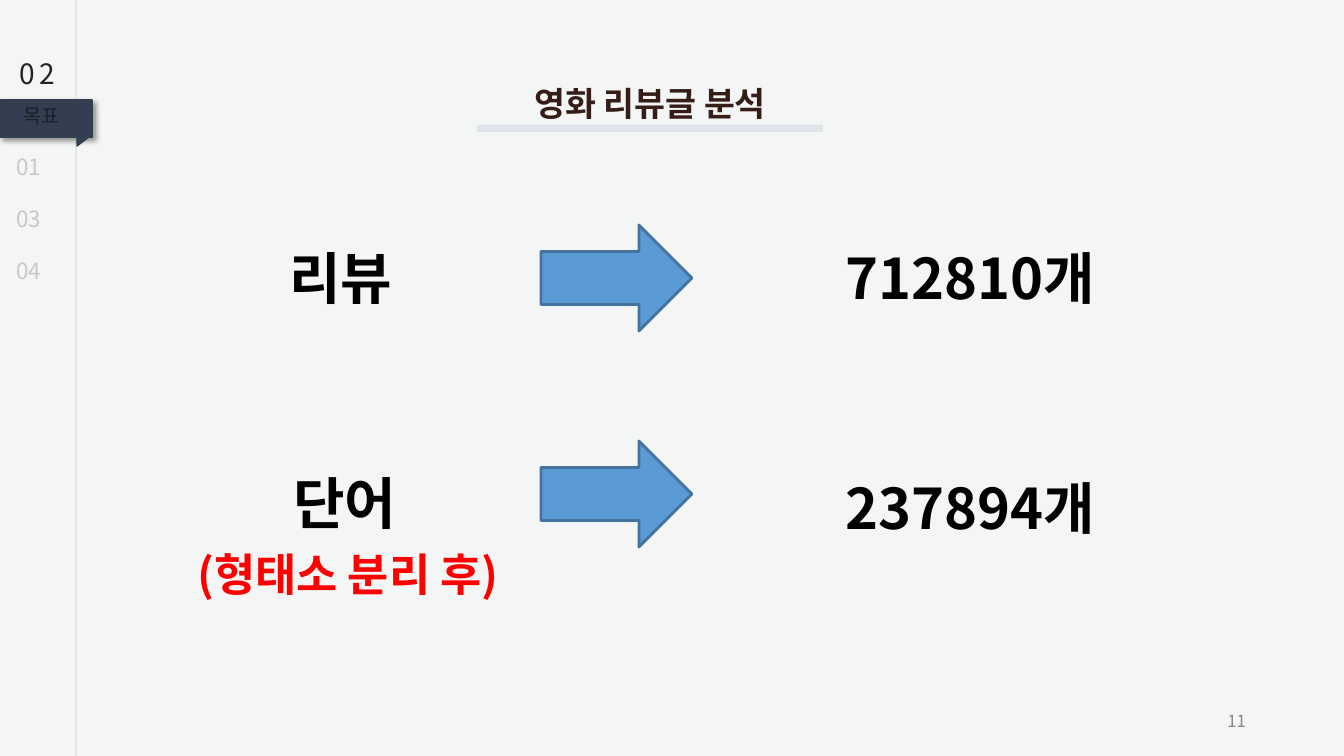
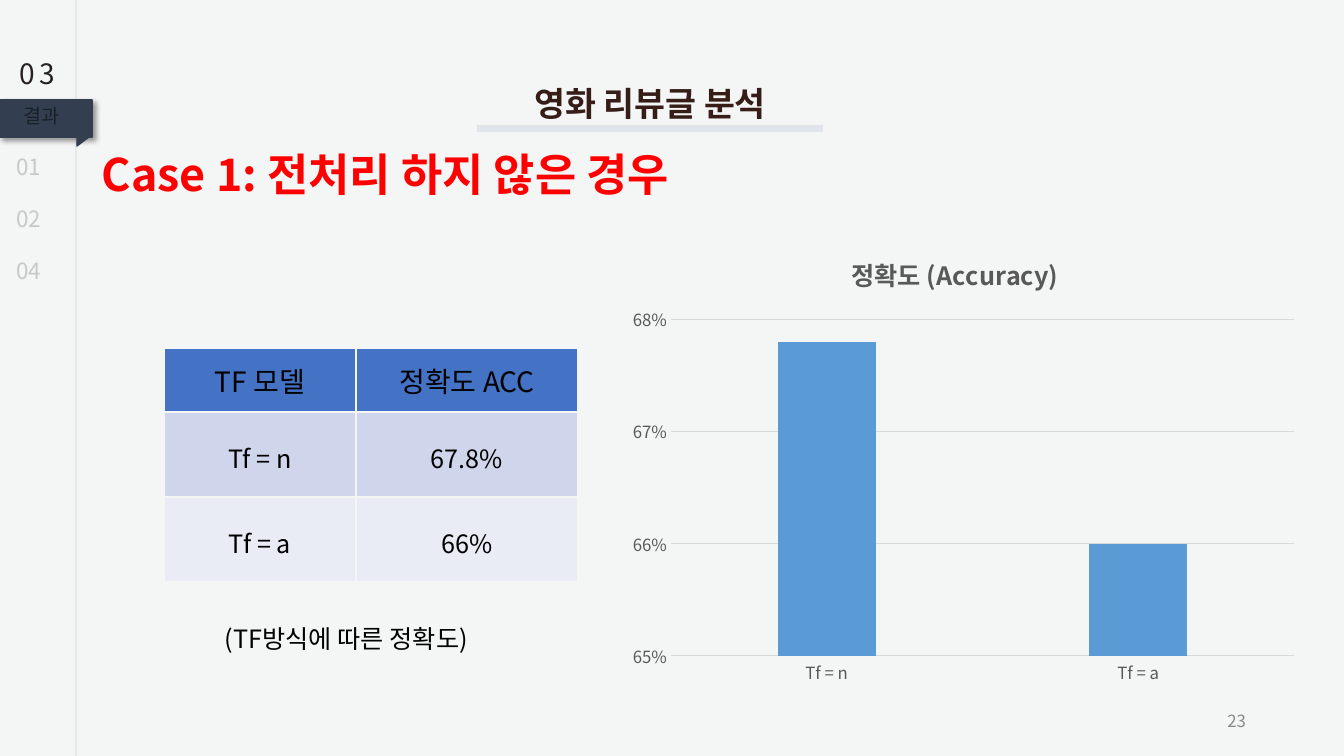
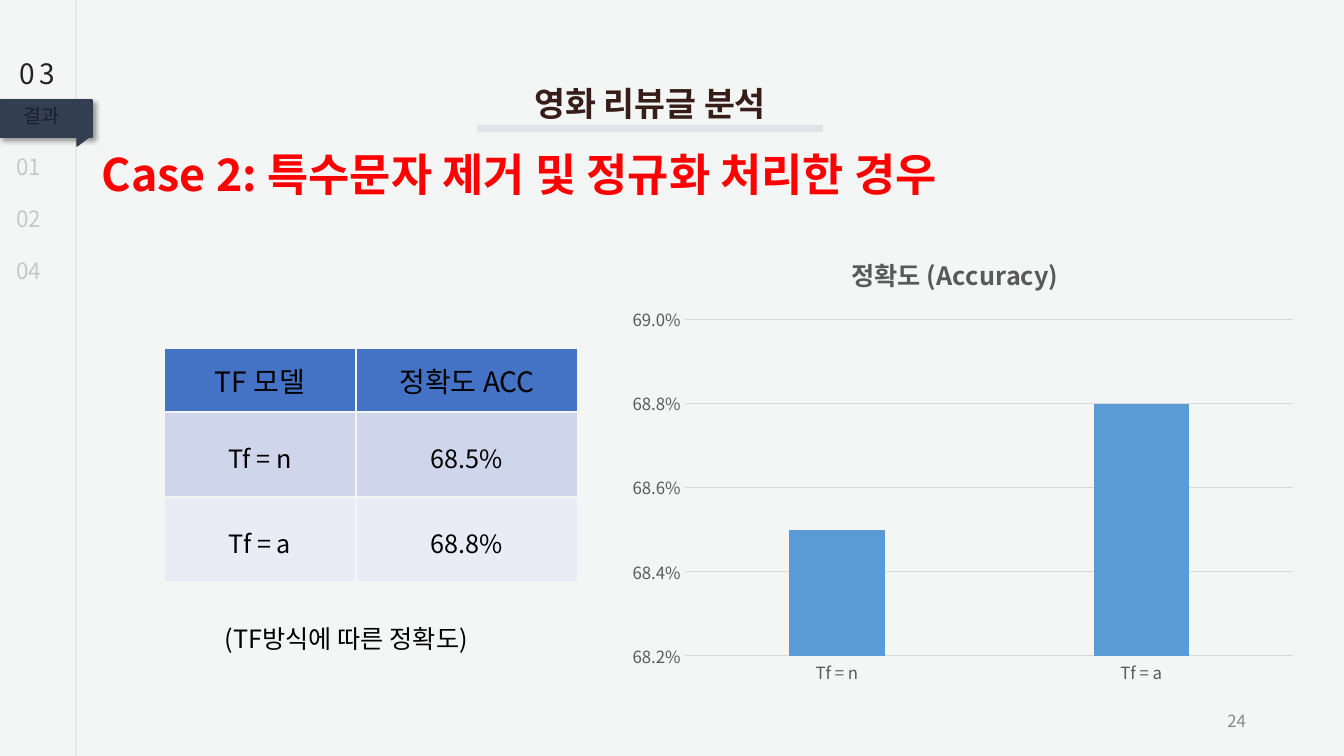
"""Builds three slides on the analysis of movie reviews."""
from lxml import etree
from pptx import Presentation
from pptx import util as u
from pptx.chart.data import CategoryChartData
from pptx.dml.color import RGBColor
from pptx.enum import chart as ch, shapes, text
from pptx.oxml import parse_xml
from pptx.oxml.ns import nsdecls, qn

WIDTH, HEIGHT = 1344, 756
PX = 12192000 / WIDTH
FONT = "Noto Sans CJK KR"
PAPER, NAVY, BLUE, RED, BLACK = "F4F6F5", "333F50", "5B9BD5", "FF0000", "000000"
GREY, GRID, FAINT, INK = "595959", "D9D9D9", "C8C8C8", "1A2029"
ROW_FILLS = ["4472C4", "CFD5EA", "E9EBF5"]
TITLE = "영화 리뷰글 분석"
CHART_TITLE = "정확도 (Accuracy)"
CAPTION = "(TF방식에 따른 정확도)"
HEADER = ["TF 모델", "정확도 ACC"]
MODELS = ["Tf = n", "Tf = a"]
COLUMNS, ROWS = [192, 222], [64, 85, 85]

COUNTS = {
    "page": 11, "section": "02", "label": "목표", "others": ["01", "03", "04"],
    "lines": [("리뷰", (182, 239), "712810개", (811, 239), 225),
              ("단어", (186, 464), "237894개", (811, 469), 441)],
    "note": "(형태소 분리 후)",
}
RESULTS = {"section": "03", "label": "결과", "others": ["01", "02", "04"]}
CASES = [
    {**RESULTS, "page": 23, "heading": "Case 1: 전처리 하지 않은 경우",
     "shown": ["67.8%", "66%"], "values": [0.678, 0.66],
     "axis": {"minimum_scale": 0.65, "maximum_scale": 0.68, "major_unit": 0.01},
     "format": "0%", "plot_left": 671},
    {**RESULTS, "page": 24, "heading": "Case 2: 특수문자 제거 및 정규화 처리한 경우",
     "shown": ["68.5%", "68.8%"], "values": [0.685, 0.688],
     "axis": {"minimum_scale": 0.682, "maximum_scale": 0.69, "major_unit": 0.002},
     "format": "0.0%", "plot_left": 685},
]


def px(*lengths):
    return [u.Emu(round(n * PX)) for n in lengths]


def rgb(value):
    return RGBColor.from_string(value)


def assign(target, **values):
    for name, value in values.items():
        setattr(target, name, value)


def style(font, size, color, bold=False):
    assign(font, name=FONT, size=u.Pt(size), bold=bold)
    font.color.rgb = rgb(color)


def use_korean_font(root):
    for latin in root.xpath(".//a:latin"):
        latin.addnext(parse_xml(f'<a:ea {nsdecls("a")} typeface="{FONT}"/>'))


def paint(fill, color):
    fill.solid()
    fill.fore_color.rgb = rgb(color)


def fade(part, percent):
    for color in part.element.xpath("./p:spPr//a:srgbClr"):
        etree.SubElement(color, qn("a:alpha")).set("val", str(percent * 1000))


def write(slide, words, box, size, color=BLACK, bold=False, align="CENTER",
          anchor="TOP", inset=(10, 5)):
    label = slide.shapes.add_textbox(*px(*box))
    side, edge = px(*inset)
    assign(label.text_frame, word_wrap=True,
           vertical_anchor=getattr(text.MSO_ANCHOR, anchor),
           margin_left=side, margin_right=side, margin_top=edge, margin_bottom=edge)
    paragraph = label.text_frame.paragraphs[0]
    paragraph.alignment = getattr(text.PP_ALIGN, align)
    run = paragraph.add_run()
    run.text = words
    style(run.font, size, color, bold)
    return label


def finish(shape, fill, line=None, width=1):
    shape.shadow.inherit = False
    paint(shape.fill, fill)
    if line:
        shape.line.color.rgb = rgb(line)
        shape.line.width = u.Pt(width)
    else:
        shape.line.fill.background()
    return shape


def block(slide, kind, box, *look):
    preset = getattr(shapes.MSO_SHAPE, kind)
    return finish(slide.shapes.add_shape(preset, *px(*box)), *look)


def add_sidebar(slide, content):
    rule = slide.shapes.add_connector(shapes.MSO_CONNECTOR.STRAIGHT, *px(76, 0, 76, HEIGHT))
    rule.line.color.rgb = rgb("A6A6A6")
    rule.line.width = u.Pt(0.5)
    fade(rule, 50)
    etree.SubElement(rule.element.spPr, qn("a:effectLst"))

    ribbon = block(slide, "RECTANGLE", (0, 100, 92, 37), NAVY, NAVY)
    effects = ribbon.element.spPr.find(qn("a:effectLst"))
    effects.append(parse_xml(
        f'<a:outerShdw {nsdecls("a")} blurRad="50800" dist="38100" dir="2700000" algn="tl">'
        '<a:srgbClr val="000000"><a:alpha val="40000"/></a:srgbClr></a:outerShdw>'))
    fold = slide.shapes.build_freeform(77, 137, scale=PX)
    fold.add_line_segments([(77, 146), (89, 137)], close=True)
    finish(fold.convert_to_shape(), NAVY, NAVY)

    section = write(slide, content["section"], (0, 52, 75, 43), 20, "272123", inset=(5, 5))
    for properties in section.element.xpath(".//a:rPr"):
        properties.set("spc", "300")
    plain = {"anchor": "MIDDLE", "inset": (0, 0)}
    write(slide, content["label"], (0, 97, 83, 38), 14, INK, **plain)
    for i, number in enumerate(content["others"]):
        write(slide, number, (0, 147 + 52 * i, 58, 40), 16, FAINT, **plain)


def add_base(deck, content):
    slide = deck.slides.add_slide(deck.slide_layouts[6])
    paint(slide.background.fill, PAPER)
    add_sidebar(slide, content)
    fade(block(slide, "RECTANGLE", (477, 125, 346, 7), "D6DCE5"), 68)
    write(slide, TITLE, (477, 78, 346, 50), 24, "361D18", True, inset=(5, 5))
    write(slide, str(content["page"]), (1199, 706, 52, 29), 12, "888888",
          align="RIGHT", anchor="MIDDLE", inset=(5, 5))
    return slide


def add_counts(deck, content):
    slide = add_base(deck, content)
    for name, name_at, count, count_at, arrow_top in content["lines"]:
        for words, place_at in ((name, name_at), (count, count_at)):
            write(slide, words, (*place_at, 318, 78), 40, bold=True)
        block(slide, "RIGHT_ARROW", (541, arrow_top, 151, 106), BLUE, "43739E", 2)
    write(slide, content["note"], (148, 542, 400, 65), 32, RED, True)


def add_scores(slide, content):
    frame = slide.shapes.add_table(len(ROWS), len(COLUMNS),
                                   *px(164, 348, sum(COLUMNS), sum(ROWS)))
    table = frame.table
    for column, width in zip(table.columns, px(*COLUMNS)):
        column.width = width
    for row, height in zip(table.rows, px(*ROWS)):
        row.height = height
    for r, words in enumerate([HEADER, *zip(MODELS, content["shown"])]):
        for c, word in enumerate(words):
            cell = table.cell(r, c)
            paint(cell.fill, ROW_FILLS[r])
            cell.vertical_anchor = text.MSO_ANCHOR.MIDDLE
            if r:
                side = u.Inches(0.07)
                assign(cell, margin_left=side, margin_right=side, margin_top=0, margin_bottom=0)
            paragraph = cell.text_frame.paragraphs[0]
            assign(paragraph, alignment=text.PP_ALIGN.CENTER, line_spacing=1.15 if r else 1.0)
            run = paragraph.add_run()
            run.text = word
            style(run.font, 18 if r else 20, BLACK)
    for properties in frame.element.xpath(".//a:tcPr"):
        for i, side in enumerate("LRTB"):
            properties.insert(i, parse_xml(
                f'<a:ln{side} {nsdecls("a")} w="12700"><a:solidFill>'
                f'<a:srgbClr val="{PAPER}"/></a:solidFill></a:ln{side}>'))


def place(parent, position, target=None, **fractions):
    for old in parent.findall(qn("c:layout")):
        parent.remove(old)
    layout = etree.Element(qn("c:layout"))
    manual = etree.SubElement(layout, qn("c:manualLayout"))
    settings = {"layoutTarget": target} if target else {}
    settings.update(xMode="edge", yMode="edge", **fractions)
    for name, value in settings.items():
        etree.SubElement(manual, qn("c:" + name)).set("val", str(value))
    parent.insert(position, layout)


def add_accuracy_chart(slide, content):
    left, top, width, height = 620, 235, 688, 459
    data = CategoryChartData(number_format=content["format"])
    data.categories = MODELS
    data.add_series("Series 1", content["values"])
    chart = slide.shapes.add_chart(ch.XL_CHART_TYPE.COLUMN_CLUSTERED,
                                   *px(left, top, width, height), data).chart
    style(chart.font, 12, GREY)
    chart.has_legend = False
    heading = chart.chart_title.text_frame.paragraphs[0].add_run()
    heading.text = CHART_TITLE
    style(heading.font, 18, GREY, True)

    plot = chart.plots[0]
    assign(plot, gap_width=219, overlap=-27, vary_by_categories=False)
    paint(plot.series[0].format.fill, BLUE)
    models, scores = chart.category_axis, chart.value_axis
    for axis in (models, scores):
        assign(axis, major_tick_mark=ch.XL_TICK_MARK.NONE, minor_tick_mark=ch.XL_TICK_MARK.NONE)
        style(axis.tick_labels.font, 12, GREY)
    assign(scores, has_major_gridlines=True, **content["axis"])
    assign(scores.tick_labels, number_format=content["format"], number_format_is_linked=False)
    scores.format.line.fill.background()
    for line in (models.format.line, scores.major_gridlines.format.line):
        line.color.rgb = rgb(GRID)
        line.width = u.Pt(0.75)

    plot_left = content["plot_left"]
    area = chart.element.xpath(".//c:plotArea")[0]
    place(area, 0, "inner", x=round((plot_left - left) / width, 3), y=0.184,
          w=round((1294 - plot_left) / width, 3), h=0.733)
    place(chart.element.xpath(".//c:title")[0], 1, x=0.33, y=0.03)
    use_korean_font(chart.element)


def add_case(deck, content):
    slide = add_base(deck, content)
    write(slide, content["heading"], (92, 142, 968, 65), 32, RED, True, "LEFT")
    add_scores(slide, content)
    write(slide, CAPTION, (215, 618, 300, 40), 18, align="LEFT")
    add_accuracy_chart(slide, content)


def main():
    deck = Presentation()
    deck.slide_width, deck.slide_height = px(WIDTH, HEIGHT)
    add_counts(deck, COUNTS)
    for case in CASES:
        add_case(deck, case)
    for slide in deck.slides:
        use_korean_font(slide.element)
    deck.save("out.pptx")


if __name__ == "__main__":
    main()
